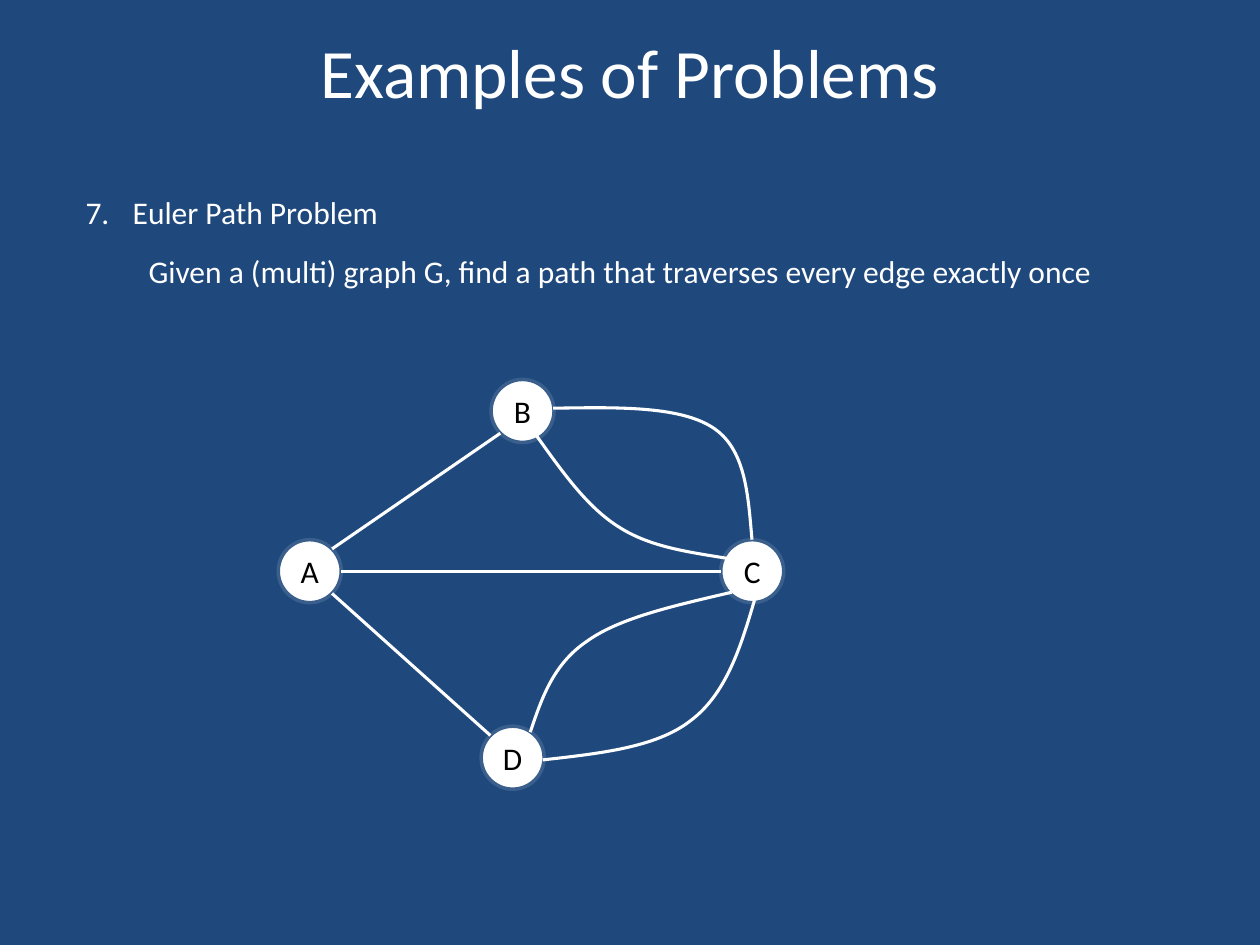
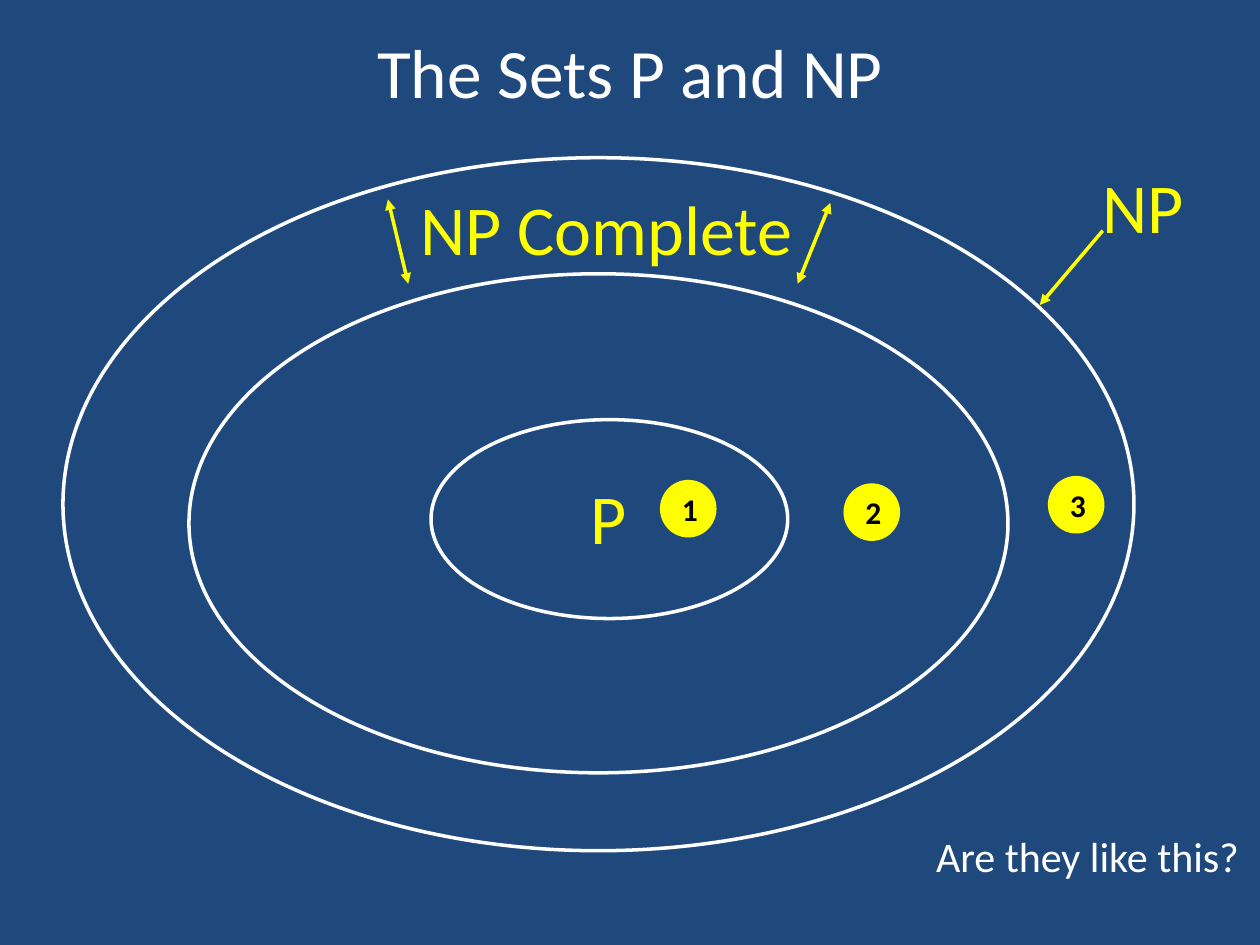
from collections import namedtuple
from dataclasses import dataclass
from math import cos, radians, sin

from lxml.etree import SubElement
from pptx import Presentation
from pptx.dml.color import RGBColor
from pptx.enum.shapes import MSO_CONNECTOR, MSO_SHAPE
from pptx.enum.text import MSO_ANCHOR, MSO_AUTO_SIZE, PP_ALIGN
from pptx.oxml.ns import qn
from pptx.util import Cm, Pt

Box = namedtuple("Box", "left top width height")


@dataclass(frozen=True)
class Theme:
    """Colours, font, type sizes and line widths of the deck."""
    back: str = "1F497D"
    text: str = "FFFFFF"
    accent: str = "FFFF00"
    dark: str = "000000"
    ring: str = "3A5F8C"
    font: str = "Calibri"
    title: float = 39.6
    label: float = 40
    note: float = 24
    body: float = 18
    edge: float = 1.75
    outline: float = 2


T = Theme()
TITLE_BOX = Box(1.27, 0.43, 22.86, 1.98)
BODY_BOX = Box(1.47, 3.76, 22.86, 3.6)
GRAPH_BOX = Box(5.61, 7.65, 10.19, 8.26)
SETS_BOX = Box(1.27, 3.18, 21.59, 13.97)


def rgb(color):
    """Turn a hex string into a colour."""
    return RGBColor.from_string(color)


def within(box, x, y, width=0, height=0):
    """Shift a box that is relative to another one onto the slide."""
    return Box(box.left + x, box.top + y, width, height)


def write(p, text, size=T.body, color=T.text, bold=False, align=PP_ALIGN.LEFT, before=0):
    """Write one formatted run into a paragraph."""
    p.alignment = align
    p.space_before = Pt(before)
    r = p.add_run()
    r.text = text
    r.font.name, r.font.size, r.font.bold = T.font, Pt(size), bold
    r.font.color.rgb = rgb(color)


def place(sp, box):
    """Move a shape to a box."""
    sp.left, sp.top, sp.width, sp.height = (Cm(v) for v in box)


def set_line(sp, color, width):
    """Give a shape or connector its line."""
    sp.line.color.rgb = rgb(color)
    sp.line.width = Pt(width)


def add_slide(prs, layout, title):
    """Add a slide with the shared title style."""
    slide = prs.slides.add_slide(prs.slide_layouts[layout])
    sp = slide.shapes.title
    place(sp, TITLE_BOX)
    tf = sp.text_frame
    tf.auto_size = MSO_AUTO_SIZE.NONE
    tf.vertical_anchor = MSO_ANCHOR.MIDDLE
    write(tf.paragraphs[0], title, size=T.title, align=PP_ALIGN.CENTER)
    return slide


def add_oval(slide, box, fill=None, line=T.text, text="", bold=False):
    """Add an ellipse, optionally filled and labelled."""
    sp = slide.shapes.add_shape(MSO_SHAPE.OVAL, *(Cm(v) for v in box))
    sp.shadow.inherit = False
    set_line(sp, line, T.outline)
    if fill:
        sp.fill.solid()
        sp.fill.fore_color.rgb = rgb(fill)
    else:
        sp.fill.background()
    if text:
        tf = sp.text_frame
        tf.vertical_anchor = MSO_ANCHOR.MIDDLE
        write(tf.paragraphs[0], text, color=T.dark, bold=bold, align=PP_ALIGN.CENTER)


def add_label(slide, box, text, **fmt):
    """Add a text box of one unwrapped line."""
    tf = slide.shapes.add_textbox(*(Cm(v) for v in box)).text_frame
    tf.word_wrap = False
    tf.auto_size = MSO_AUTO_SIZE.SHAPE_TO_FIT_TEXT
    write(tf.paragraphs[0], text, **fmt)


def add_line(slide, start, end, color, width, arrows=()):
    """Add a straight connector; arrows lists headEnd and/or tailEnd."""
    c = slide.shapes.add_connector(MSO_CONNECTOR.STRAIGHT, *(Cm(v) for v in (*start, *end)))
    set_line(c, color, width)
    for tag in arrows:
        SubElement(c.line._get_or_add_ln(), qn(f"a:{tag}"), type="triangle")
    SubElement(c._element.spPr, qn("a:effectLst"))


def add_curve(slide, points, color, width):
    """Add an open Bezier outline: a start, then three points per segment."""
    start, *rest = [(Cm(x), Cm(y)) for x, y in points]
    fb = slide.shapes.build_freeform(*start)
    fb.add_line_segments(rest, close=False)
    sp = fb.convert_to_shape()
    sp.shadow.inherit = False
    sp.fill.background()
    set_line(sp, color, width)
    steps = sp._element.xpath(".//a:lnTo")
    outline = steps[0].getparent()
    for i in range(0, len(steps), 3):
        bezier = SubElement(outline, qn("a:cubicBezTo"))
        for step in steps[i:i + 3]:
            bezier.append(step[0])
            outline.remove(step)


def add_problem(slide, box, number, name, statement):
    """Fill the body placeholder with a numbered problem and its statement."""
    sp = slide.placeholders[1]
    place(sp, box)
    tf = sp.text_frame
    tf.auto_size = MSO_AUTO_SIZE.NONE
    p = tf.paragraphs[0]
    write(p, name)
    pPr = p._p.get_or_add_pPr()
    pPr.set("marL", str(Cm(0.95)))
    pPr.set("indent", str(-Cm(0.95)))
    SubElement(pPr, qn("a:buFont"), typeface="+mj-lt")
    SubElement(pPr, qn("a:buAutoNum"), type="arabicPeriod", startAt=str(number))
    p = tf.add_paragraph()
    p.level = 1
    write(p, statement, before=12)
    pPr = p._p.get_or_add_pPr()
    pPr.set("marL", str(Cm(1.27)))
    pPr.set("indent", "0")
    SubElement(pPr, qn("a:buNone"))


def add_graph(slide, box):
    """Draw the multigraph: four nodes, three straight and four curved edges."""
    size = 1.27
    nodes = {"B": (4.29, 0), "A": (0, 3.23), "C": (8.92, 3.23), "D": (4.09, 6.99)}
    straight = [("A", 45, "D", 225), ("A", -45, "B", 135), ("A", 0, "C", 180)]
    curves = [
        [(5.54, 0.58), (6.81, 0.56), (8.08, 0.53), (8.76, 0.97),
         (9.42, 1.4), (9.47, 2.31), (9.55, 3.23)],
        [(5.21, 1.14), (5.72, 1.85), (6.22, 2.57), (6.86, 2.97),
         (7.49, 3.38), (8.28, 3.48), (9.07, 3.61)],
        [(9.6, 4.45), (9.32, 5.41), (9.02, 6.35), (8.31, 6.88),
         (7.62, 7.42), (6.48, 7.54), (5.33, 7.67)],
        [(9.14, 4.29), (8.03, 4.55), (6.88, 4.8), (6.22, 5.28),
         (5.54, 5.74), (5.31, 6.43), (5.08, 7.11)],
    ]

    def rim(name, angle):
        """Point on a node's rim, clockwise from the right."""
        x, y = nodes[name]
        r, a = size / 2, radians(angle)
        return within(box, x + r + r * cos(a), y + r + r * sin(a))[:2]

    for name, (x, y) in nodes.items():
        add_oval(slide, within(box, x, y, size, size), T.text, T.ring, name)
    for a, a_angle, b, b_angle in straight:
        add_line(slide, rim(a, a_angle), rim(b, b_angle), T.text, T.edge)
    for points in curves:
        add_curve(slide, [within(box, x, y)[:2] for x, y in points], T.text, T.edge)


def add_sets(slide, box):
    """Draw the nested sets with their names, arrows and numbered badges."""
    add_oval(slide, box)
    for oval in [(7.42, 5.28, 7.19, 4.01), (2.54, 2.34, 16.51, 10.06)]:
        add_oval(slide, within(box, *oval))
    for text, x, y, width in [("P", 10.39, 6.27, 1.24), ("NP", 20.7, 0, 2.51),
                              ("NP Complete", 6.96, 0.43, 8.08)]:
        add_label(slide, within(box, x, y, width, 1.96), text, size=T.label, color=T.accent)
    both = ("headEnd", "tailEnd")
    for start, end, arrows in [((20.96, 1.47), (19.69, 2.97), both[1:]),
                               ((6.55, 0.84), (6.96, 2.54), both),
                               ((15.47, 0.91), (14.81, 2.54), both)]:
        add_line(slide, within(box, *start)[:2], within(box, *end)[:2],
                 T.accent, T.outline, arrows)
    for n, (x, y) in enumerate([(12.07, 6.53), (15.77, 6.6), (19.89, 6.45)], 1):
        add_oval(slide, within(box, x, y, 1.07, 1.09), T.accent, T.accent, str(n), bold=True)
    add_label(slide, within(box, 17.35, 13.44, 6.68, 1.27), "Are they like this?", size=T.note)


def main():
    """Build both slides and save the deck."""
    prs = Presentation()
    prs.slide_width, prs.slide_height = Cm(25.4), Cm(19.05)
    fill = prs.slide_master.background.fill
    fill.solid()
    fill.fore_color.rgb = rgb(T.back)

    slide = add_slide(prs, 1, "Examples of Problems")
    add_problem(slide, BODY_BOX, 7, "Euler Path Problem",
                "Given a (multi) graph G, find a path that traverses every edge exactly once")
    add_graph(slide, GRAPH_BOX)

    slide = add_slide(prs, 5, "The Sets P and NP")
    add_sets(slide, SETS_BOX)
    prs.save("out.pptx")


main()
